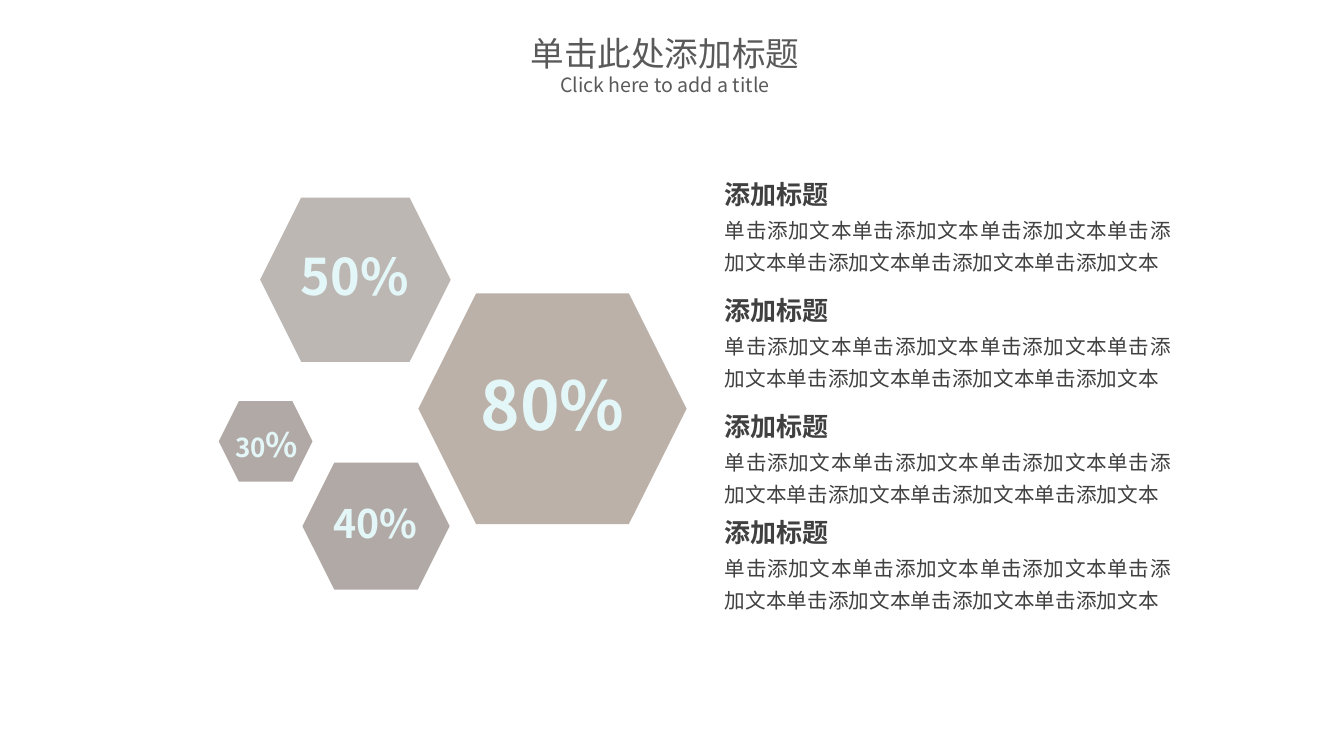
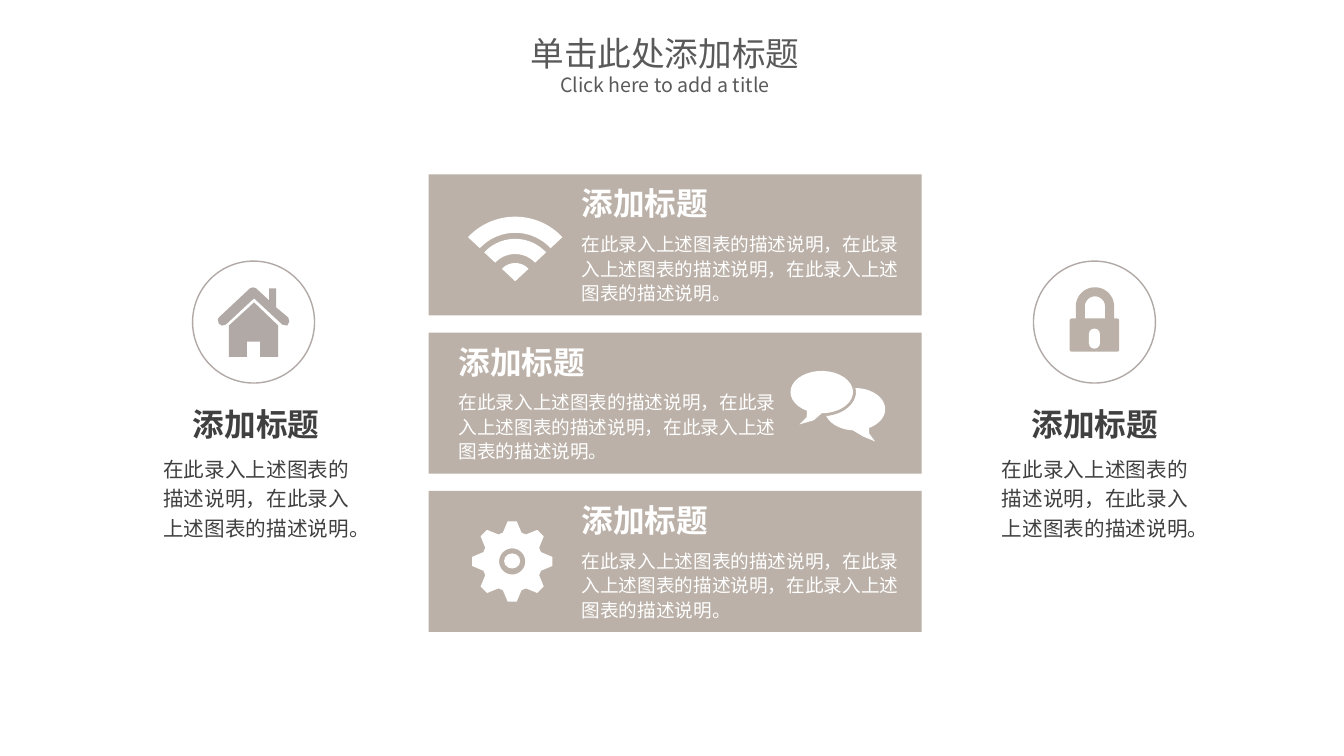
"""Build two infographic slides: a hexagon percentage cluster and three icon bands."""
from math import cos, radians, sin

from lxml.etree import SubElement
from pptx import Presentation
from pptx.dml.color import RGBColor
from pptx.enum.shapes import MSO_SHAPE
from pptx.enum.text import MSO_ANCHOR, MSO_AUTO_SIZE, PP_ALIGN
from pptx.oxml.ns import qn
from pptx.util import Inches, Pt

FONT = "Noto Sans CJK SC"
COLORS = {
    "title": "595959", "text": "404040", "white": "FFFFFF", "percent": "E4F7F8",
    "taupe": "BBB1A8", "mauve": "B1A9A5", "silver": "BCB7B3",
}
CENTER, JUSTIFY, LEFT = PP_ALIGN.CENTER, PP_ALIGN.JUSTIFY, PP_ALIGN.LEFT
STYLES = {
    "title": ("title", {"size": Pt(24), "bold": False}, {"alignment": CENTER}),
    "subtitle": ("title", {"size": Pt(14), "bold": False}, {"alignment": CENTER}),
    "percent": ("percent", {"bold": True}, {"alignment": CENTER, "line_spacing": 0.9}),
    "item head": ("text", {"size": Pt(18.6), "bold": True},
                  {"alignment": JUSTIFY, "line_spacing": 0.9}),
    "item body": ("text", {"size": Pt(14.7)}, {"alignment": JUSTIFY, "line_spacing": 1.3}),
    "side head": ("text", {"size": Pt(22.6), "bold": True}, {"alignment": CENTER}),
    "side body": ("text", {"size": Pt(14.7)}, {"alignment": CENTER, "line_spacing": 1.2}),
    "band head": ("white", {"size": Pt(22.6), "bold": True}, {"alignment": LEFT}),
    "band body": ("white", {"size": Pt(13.3)}, {"alignment": LEFT, "line_spacing": 1.1}),
}

TITLE, SUBTITLE = "单击此处添加标题", "Click here to add a title"
TITLE_BOX, TITLE_SHIFT = (3.96, 0.38, 5.43, 0.52), 0.16
HEADING = "添加标题"
ITEM_BODY = "单击添加文本" * 7
PHRASE = "在此录入上述图表的描述说明"
SIDE_BODY = "，".join([PHRASE] * 2) + "。"
BAND_BODY = "，".join([PHRASE] * 3) + "。"

ITEM_LEFT, ITEM_TOPS = 7.09, (1.76, 2.91, 4.06, 5.11)
HEXAGONS = [
    ((2.17, 3.98, 0.93, 0.8), "mauve", (2.16, 4.2, 0.97, 0.52), [("30", 18.6), ("%", 24)]),
    ((3, 4.59, 1.46, 1.26), "mauve", (3.1, 4.96, 1.24, 0.59), [("40%", 28)]),
    ((4.15, 2.91, 2.66, 2.29), "taupe", (4.56, 3.65, 1.84, 0.94), [("80%", 48)]),
    ((2.58, 1.96, 1.89, 1.63), "silver", (2.6, 2.45, 1.84, 0.73), [("50%", 36)]),
]
BAND_TOP, BAND_PITCH, BAND_TEXT_LEFTS = 1.73, 1.57, (5.67, 4.45, 5.67)
SIDES = [(1.91, 1.69), (10.25, 10.01)]

HOUSE_WALLS = [
    (2.52, 3), (2.76, 3.23), (2.76, 3.54), (2.58, 3.54), (2.58, 3.39),
    (2.45, 3.39), (2.45, 3.54), (2.27, 3.54), (2.27, 3.23),
]
HOUSE_ROOF = [
    (2.48, 2.86), (2.51, 2.85), (2.54, 2.86), (2.67, 2.98), (2.67, 2.86), (2.74, 2.86),
    (2.74, 3.05), (2.86, 3.15), (2.87, 3.19), (2.85, 3.23), (2.8, 3.22), (2.52, 2.96),
    (2.24, 3.22), (2.2, 3.23), (2.17, 3.21), (2.16, 3.17), (2.17, 3.15),
]


def rgb(color):
    return RGBColor.from_string(COLORS[color])


def apply(target, values):
    for name, value in values.items():
        setattr(target, name, value)


def add_text(paragraph, style, runs):
    color, font_values, paragraph_values = STYLES[style]
    apply(paragraph, paragraph_values)
    for words, size in runs:
        run = paragraph.add_run()
        run.text = words
        apply(run.font, {"name": FONT, **font_values})
        if size:
            run.font.size = Pt(size)
        run.font.color.rgb = rgb(color)
        SubElement(run.font._element, qn("a:ea"), typeface=FONT)


def add_label(slide, box, style, words, sized_runs=None):
    frame = slide.shapes.add_textbox(*map(Inches, box)).text_frame
    frame.word_wrap = True
    add_text(frame.paragraphs[0], style, sized_runs or [(words, None)])


def paint(figure, fill=None, line=None):
    figure.shadow.inherit = False
    if fill:
        figure.fill.solid()
        figure.fill.fore_color.rgb = rgb(fill)
    else:
        figure.fill.background()
    if line:
        figure.line.color.rgb = rgb(line)
        figure.line.width = Pt(1)
    else:
        figure.line.fill.background()


def add_preset(slide, kind, box, fill=None, line=None, rounding=None):
    figure = slide.shapes.add_shape(kind, *map(Inches, box))
    if rounding is not None:
        figure.adjustments[0] = rounding
    paint(figure, fill, line)


def add_outline(slide, contours, fill):
    contours = [[(Inches(x), Inches(y)) for x, y in contour] for contour in contours]
    builder = slide.shapes.build_freeform(*contours[0][0])
    for index, contour in enumerate(contours):
        if index:
            builder.move_to(*contour[0])
        builder.add_line_segments(contour[1:], close=True)
    paint(builder.convert_to_shape(), fill)


def arc(center, radii, start, end, steps=32):
    angles = [radians(start + (end - start) * i / steps) for i in range(steps + 1)]
    return [(center[0] + radii[0] * cos(a), center[1] + radii[1] * sin(a)) for a in angles]


def add_wifi(slide):
    tip = (5.11, 2.79)
    for outer, inner in [(0.64, 0.48), (0.42, 0.27), (0.18, 0)]:
        wave = arc(tip, (outer, outer), -137, -43) + arc(tip, (inner, inner), -43, -137)
        add_outline(slide, [wave], "white")


def add_chat(slide):
    front, back = (8.15, 3.89), (8.48, 4.06)
    reply = arc(back, (0.3, 0.21), -94, 62) + [(8.62, 4.3), (8.68, 4.38), (8.56, 4.33)]
    reply += arc(back, (0.3, 0.21), 94, 160) + arc(front, (0.34, 0.24), 82, -10)
    message = arc(front, (0.31, 0.21), 118, 450) + [(8.07, 4.17), (7.93, 4.21), (8, 4.14)]
    for bubble in (reply, message):
        add_outline(slide, [bubble], "white")


def add_gear(slide):
    hub = (5.08, 5.57)
    tooth = [(-18, 0.3), (-6.5, 0.4), (6.5, 0.4), (18, 0.3)]
    rim = [arc(hub, (radius, radius), turn + angle, 0, 1)[0]
           for turn in range(0, 360, 45) for angle, radius in tooth]
    add_outline(slide, [rim, arc(hub, (0.13, 0.13), 360, 0)], "white")
    add_preset(slide, MSO_SHAPE.OVAL, (5, 5.49, 0.16, 0.15), "white")


def add_house(slide):
    add_outline(slide, [HOUSE_WALLS, HOUSE_ROOF], "mauve")


def add_lock(slide):
    bow, foot = (10.86, 3.04), 3.17
    shackle = [(10.67, foot)] + arc(bow, (0.19, 0.19), 180, 360) + [(11.05, foot), (10.96, foot)]
    shackle += arc(bow, (0.1, 0.1), 360, 180) + [(10.76, foot)]
    add_outline(slide, [shackle], "taupe")
    for box, fill, rounding in [((10.61, 3.16, 0.49, 0.33), "taupe", 0.06),
                                ((10.8, 3.26, 0.11, 0.2), "white", 0.5)]:
        add_preset(slide, MSO_SHAPE.ROUNDED_RECTANGLE, box, fill, rounding=rounding)


def add_titled_slide(deck):
    slide = deck.slides.add_slide(deck.slide_layouts[5])
    heading = slide.shapes.title
    apply(heading, dict(zip(("left", "top", "width", "height"), map(Inches, TITLE_BOX))))
    frame = heading.text_frame
    apply(frame, {"auto_size": MSO_AUTO_SIZE.NONE, "vertical_anchor": MSO_ANCHOR.MIDDLE,
                  "word_wrap": True})
    add_text(frame.paragraphs[0], "title", [(TITLE, None)])
    frame.paragraphs[0]._p.get_or_add_pPr().set("marR", str(Inches(TITLE_SHIFT)))
    add_text(frame.add_paragraph(), "subtitle", [(SUBTITLE, None)])
    return slide


def build_percentages(deck):
    slide = add_titled_slide(deck)
    for box, fill, label_box, runs in HEXAGONS:
        add_preset(slide, MSO_SHAPE.HEXAGON, box, fill)
        add_label(slide, label_box, "percent", None, runs)
    for top in ITEM_TOPS:
        add_label(slide, (ITEM_LEFT, top, 2.54, 0.43), "item head", HEADING)
        add_label(slide, (ITEM_LEFT, top + 0.28, 4.62, 0.74), "item body", ITEM_BODY)


def build_icon_bands(deck):
    slide = add_titled_slide(deck)
    for row, (left, add_icon) in enumerate(zip(BAND_TEXT_LEFTS, (add_wifi, add_chat, add_gear))):
        top = BAND_TOP + row * BAND_PITCH
        add_preset(slide, MSO_SHAPE.RECTANGLE, (4.25, top, 4.89, 1.4), "taupe")
        add_icon(slide)
        add_label(slide, (left, top + 0.05, 1.7, 0.5), "band head", HEADING)
        add_label(slide, (left, top + 0.51, 3.36, 0.83), "band body", BAND_BODY)
    for (ring_left, head_left), add_icon in zip(SIDES, (add_house, add_lock)):
        add_preset(slide, MSO_SHAPE.OVAL, (ring_left, 2.59, 1.21, 1.21), line="mauve")
        add_icon(slide)
        add_label(slide, (head_left, 3.97, 1.7, 0.5), "side head", HEADING)
        add_label(slide, (head_left - 0.23, 4.43, 2.16, 0.98), "side body", SIDE_BODY)


def main():
    deck = Presentation()
    apply(deck, {"slide_width": Inches(13.33), "slide_height": Inches(7.5)})
    build_percentages(deck)
    build_icon_bands(deck)
    deck.save("out.pptx")


if __name__ == "__main__":
    main()
